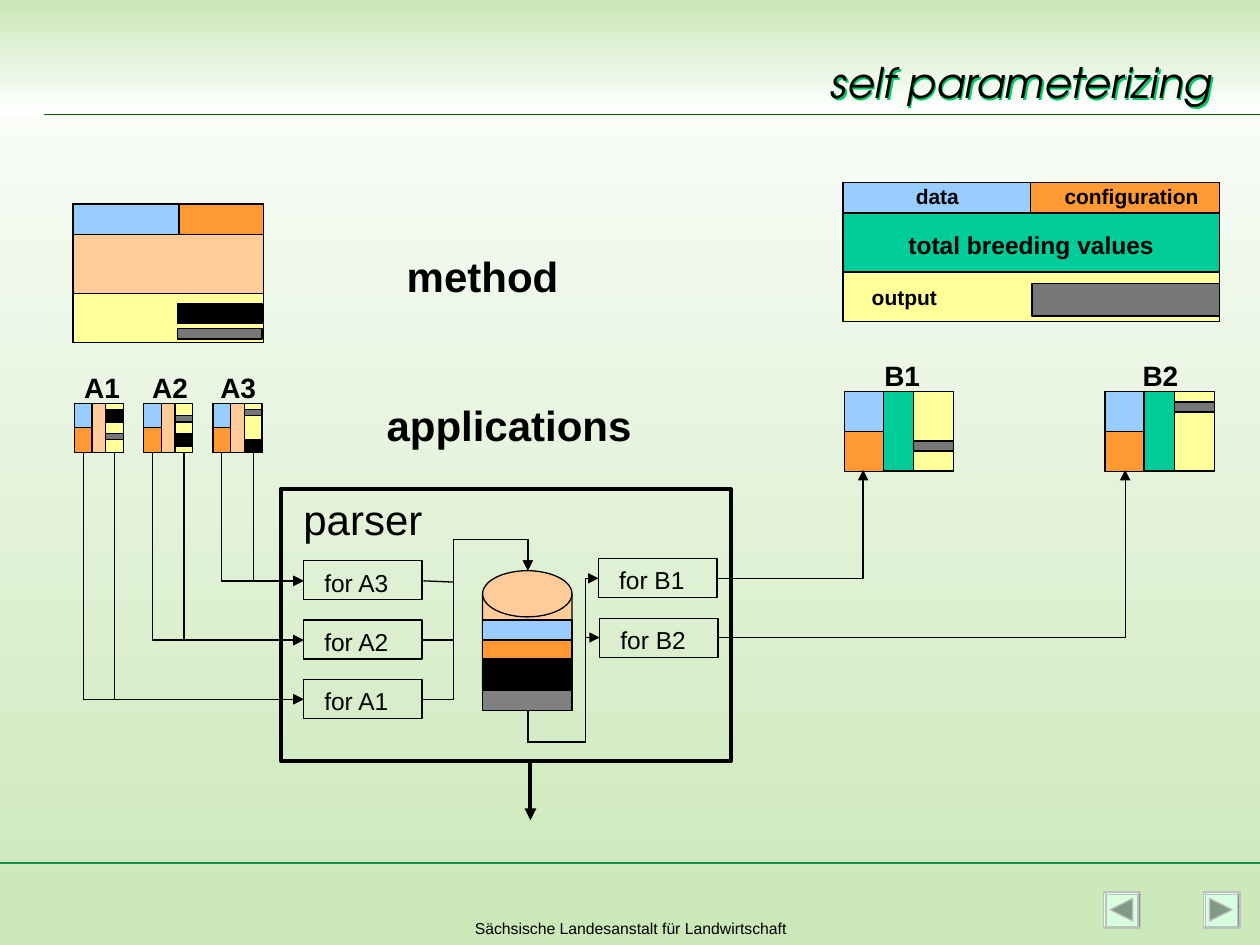
from lxml import etree
from pptx import Presentation, util as u
from pptx.dml.color import RGBColor
from pptx.enum import shapes, text
from pptx.oxml.ns import qn

CELL = u.Inches(0.1)  # the slide is a grid of 100 columns and 75 rows
COLS, ROWS = 100, 75
BLACK, GREY, YELLOW, PEACH = "000000", "777777", "FFFF99", "FFCC99"
BLUE, ORANGE, GREEN, PALE = "99CCFF", "FF9933", "00CC99", "CAE8B8"
rgb = RGBColor.from_string
KIND = shapes.MSO_SHAPE

prs = Presentation()
prs.slide_width, prs.slide_height = COLS * CELL, ROWS * CELL
s = prs.slides.add_slide(prs.slide_layouts[5])


def put(x, y, w, h, fill=None, line=BLACK, pt=0.75, kind=KIND.RECTANGLE):
    """Add a preset shape, with its place and size in grid cells."""
    sp = s.shapes.add_shape(kind, *(int(v * CELL) for v in (x, y, w, h)))
    sp.shadow.inherit = False
    if fill:
        sp.fill.solid()
        sp.fill.fore_color.rgb = rgb(fill)
    else:
        sp.fill.background()
    if line:
        sp.line.color.rgb = rgb(line)
        sp.line.width = u.Pt(pt)
    else:
        sp.line.fill.background()
    return sp


def write(sp, words, size, font="Arial", bold=False, italic=False,
          align=text.PP_ALIGN.LEFT, anchor=text.MSO_ANCHOR.TOP, wrap=False):
    tf = sp.text_frame
    tf.word_wrap = wrap
    tf.auto_size = text.MSO_AUTO_SIZE.SHAPE_TO_FIT_TEXT
    tf.vertical_anchor = anchor
    p = tf.paragraphs[0]
    p.alignment = align
    r = p.add_run()
    r.text = words
    r.font.name, r.font.size = font, u.Pt(size)
    r.font.bold, r.font.italic = bold, italic
    r.font.color.rgb = rgb(BLACK)


# Background and header band
header = put(0, 0, COLS, 9.1, PALE, line=None)
for fill, colors in ((s.background.fill, ("FFFFFF", PALE)), (header.fill, (PALE, "FFFFFF"))):
    fill.gradient()
    fill.gradient_angle = 270
    for stop, color in zip(fill.gradient_stops, colors):
        stop.color.rgb = rgb(color)

# Title with a green shadow
title = s.shapes.title
s.shapes._spTree.append(title._element)
title.left, title.top, title.width, title.height = (int(v * CELL) for v in (12.2, 4, 85, 5))
write(title, "self parameterizing", 24, font="TeX Gyre Adventor", italic=True,
      align=text.PP_ALIGN.RIGHT, anchor=text.MSO_ANCHOR.BOTTOM, wrap=True)
effects = etree.SubElement(title._element.spPr, qn("a:effectLst"))
shadow = etree.SubElement(effects, qn("a:outerShdw"), dist="14000", dir="2700000")
etree.SubElement(shadow, qn("a:srgbClr"), val="00CC66")

# Navigation buttons
for x, arrow_x, turn in ((87.6, 88.1, -90), (95.5, 96, 90)):
    put(x, 70.8, 2.9, 2.9, "D7FFDF", "C0C0C0", kind=KIND.BEVEL).adjustments[0] = 0.06
    put(arrow_x, 71.3, 1.8, 1.8, "819986", "C0C0C0",
        kind=KIND.ISOSCELES_TRIANGLE).rotation = turn

# Method and legend: data and configuration, body, output
for x, y, w, body, data_w, config_w in ((5.8, 16.2, 15.1, PEACH, 8.8, 6.7),
                                        (66.9, 14.5, 29.9, GREEN, 15, 15)):
    put(x, y, w, 11, body)
    put(x, y + 7.1, w, 3.9, YELLOW)
    put(x, y, data_w, 2.4, BLUE)
    put(x + w - config_w, y, config_w, 2.4, ORANGE)
put(14.1, 24.1, 6.7, 1.6, BLACK)
put(14.1, 26.1, 6.7, 0.8, GREY)
put(81.9, 22.5, 14.9, 2.6, GREY)

# Applications: x, y, width, height, body, input width, output width, output stripes
A = (32, 3.9, 3.9, PEACH, 1.4, 1.4)
B = (31.1, 8.7, 6.3, GREEN, 3.1, 3.2)
for x, (y, w, h, body, in_w, out_w), stripes in (
        (5.9, A, ((0.5, 1, BLACK), (2.4, 0.5, GREY))),
        (11.4, A, ((1, 0.5, GREY), (2.4, 1, BLACK))),
        (16.9, A, ((0.5, 0.5, GREY), (2.9, 1, BLACK))),
        (67, B, ((3.9, 0.8, GREY),)),
        (87.7, B, ((0.8, 0.8, GREY),))):
    put(x, y, w, h, body)
    put(x + w - out_w, y, out_w, h, YELLOW)
    put(x, y, in_w, h / 2, BLUE)
    put(x, y + h / 2, in_w, h / 2, ORANGE)
    for dy, stripe_h, color in stripes:
        put(x + w - out_w, y + dy, out_w, stripe_h, color)

# Parser with its modules and the store
put(22.3, 38.8, 35.7, 21.6, pt=2.25)
modules = [(24.1, 44.5, "A3"), (24.1, 49.2, "A2"), (24.1, 53.9, "A1"),
           (47.5, 44.3, "B1"), (47.6, 49.1, "B2")]
for x, y, name in modules:
    put(x, y, 9.4, 3.1)
put(38.3, 45.3, 7.1, 11, PEACH, kind=KIND.FLOWCHART_MAGNETIC_DISK)
for y, h, color in ((49.2, 1.6, BLUE), (50.8, 1.6, ORANGE),
                    (52.3, 2.5, BLACK), (54.8, 1.6, "808080")):
    put(38.3, y, 7.1, h, color)

# Labels: text, x, y, width, height, size, bold
labels = [("for " + name, x + 0.65, y + 0.05, 7.2, 3.4, 14, False) for x, y, name in modules]
labels += [(name, x, y, 4.8, 3.7, 16, True) for name, x, y in (
    ("A1", 5.7, 28.9), ("A2", 11.1, 28.9), ("A3", 16.5, 28.9),
    ("B1", 69.2, 28), ("B2", 89.7, 28))]
labels += [("method", 31.3, 19.4, 14.6, 5, 24, True),
           ("applications", 29.7, 31.2, 22, 5, 24, True),
           ("parser", 23.1, 38.7, 12, 5, 24, False),
           ("data", 71.7, 14.1, 5.4, 3, 12, True),
           ("configuration", 83.5, 14.1, 13.2, 3, 12, True),
           ("output", 68.2, 22.1, 7.2, 3, 12, True)]
for words, x, y, w, h, size, bold in labels:
    sp = s.shapes.add_textbox(*(int(v * CELL) for v in (x, y, w, h)))
    write(sp, words, size, bold=bold)
for words, x, y, w, h, size, bold in (
        ("total breeding values", 65.7, 17.8, 32.3, 3.4, 14, True),
        ("Sächsische Landesanstalt für Landwirtschaft", 16.8, 72.4, 66.5, 2.6, 9, False)):
    sp = s.shapes.add_textbox(*(int(v * CELL) for v in (x, y, w, h)))
    write(sp, words, size, bold=bold, align=text.PP_ALIGN.CENTER, wrap=True)

# Rules and links: from, to, preset, turn, flips, bends, colour, width, arrowhead
links = [((0, 68.5), (COLS, 68.5), "line", 0, "", (), "119149", 1, False),
         ((3.5, 9.1), (COLS, 9.1), "line", 0, "", (), "006600", 0.75, False),
         ((33.6, 46.1), (36, 46.2), "line", 0, "", (), BLACK, 0.75, False),
         ((42.1, 60.3), (42.1, 65.1), "line", 0, "", (), BLACK, 2.25, True)]
for x, y in ((20.1, 46.1), (14.6, 50.8), (9.1, 55.5)):
    for start_x in (x, x - 2.5):
        links.append(((start_x, 35.9), (24.1, y), "bentConnector2", 270, "H", (),
                      BLACK, 0.75, True))
for start, end, turn, flips, bends in (
        ((33.6, 50.8), (41.9, 45.3), 0, "V", (28600, 145300)),
        ((33.6, 55.5), (41.9, 45.3), 0, "V", (28600, 124400)),
        ((41.9, 56.4), (47.6, 50.6), 90, "HV", (-43300, 80700)),
        ((41.9, 56.4), (47.5, 45.9), 90, "HV", (-23700, 81200))):
    links.append((start, end, "bentConnector4", turn, flips, bends, BLACK, 0.75, True))
for start, end in (((57, 45.9), (68.5, 37.3)), ((57.1, 50.6), (89.3, 37.3))):
    links.append((start, end, "bentConnector2", 0, "V", (), BLACK, 0.75, True))

for (x1, y1), (x2, y2), preset, turn, flips, bends, color, pt, arrow in links:
    w, h = abs(x2 - x1), abs(y2 - y1)
    if turn:
        w, h = h, w
    left, top = (x1 + x2 - w) / 2, (y1 + y2 - h) / 2
    c = s.shapes.add_connector(shapes.MSO_CONNECTOR.STRAIGHT, *(
        int(v * CELL) for v in (left, top, left + w, top + h)))
    c.line.color.rgb = rgb(color)
    c.line.width = u.Pt(pt)
    pr = c._element.spPr
    xfrm, geom = pr.find(qn("a:xfrm")), pr.find(qn("a:prstGeom"))
    xfrm.set("rot", str(turn * 60000))
    for flip in flips:
        xfrm.set("flip" + flip, "1")
    geom.set("prst", preset)
    for i, bend in enumerate(bends, 1):
        etree.SubElement(geom.find(qn("a:avLst")), qn("a:gd"),
                         name=f"adj{i}", fmla=f"val {bend}")
    if arrow:
        etree.SubElement(pr.find(qn("a:ln")), qn("a:tailEnd"), type="triangle")
    etree.SubElement(pr, qn("a:effectLst"))

prs.save("out.pptx")
